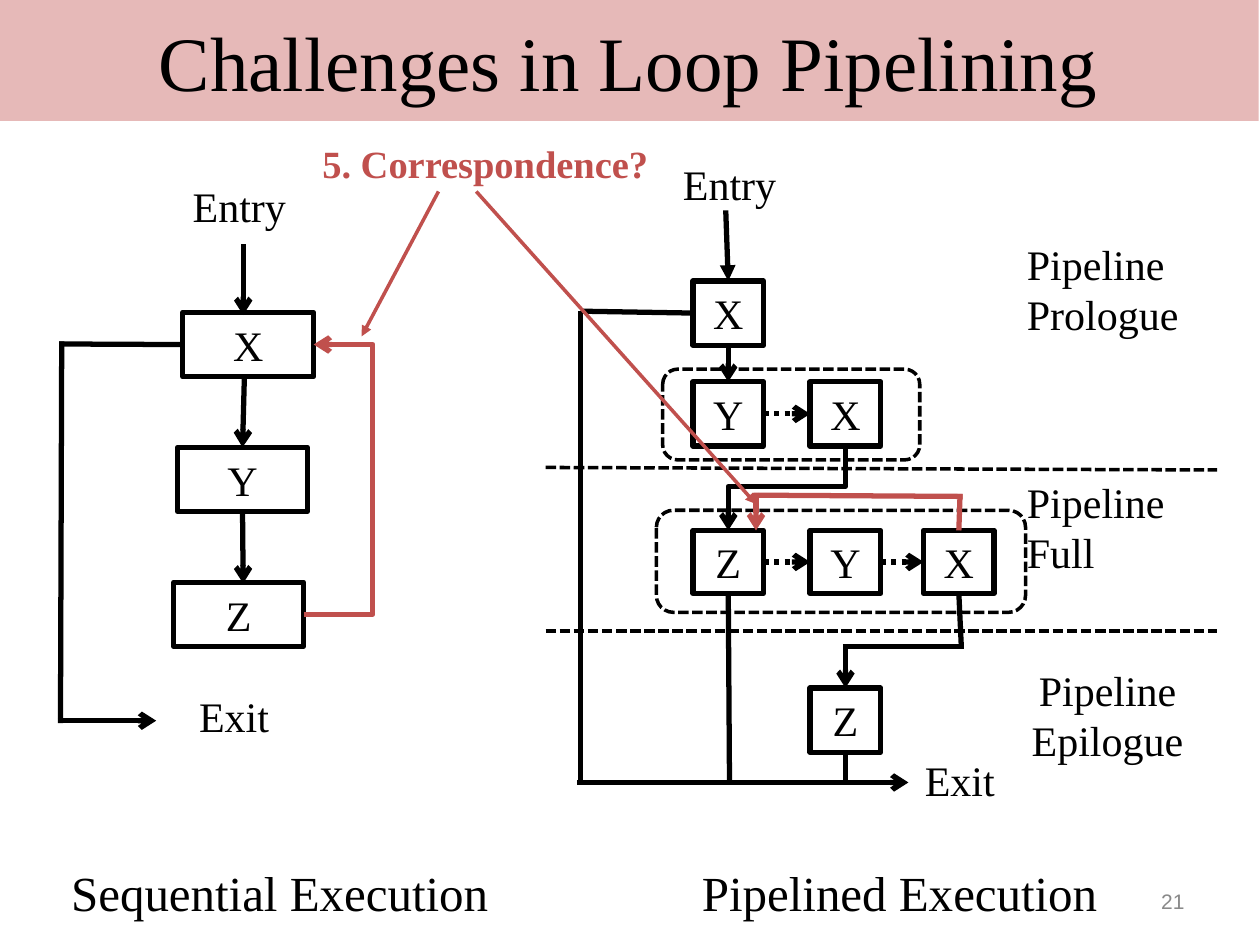
from dataclasses import dataclass
from typing import NamedTuple, Optional

from lxml.etree import SubElement
from pptx import Presentation
from pptx.dml.color import RGBColor
from pptx.enum.dml import MSO_LINE as Dash
from pptx.enum.shapes import MSO_CONNECTOR as Cxn, MSO_SHAPE as Shape
from pptx.enum.text import MSO_ANCHOR as Anchor, MSO_AUTO_SIZE as Fit, PP_ALIGN as Align
from pptx.oxml.ns import qn
from pptx.util import Inches, Pt


@dataclass(frozen=True)
class Theme:
    serif: str = "Times New Roman"
    sans: str = "Arial"
    ink: str = "000000"
    accent: str = "C0504D"
    banner: str = "E6B9B8"
    muted: str = "898989"
    title: int = 44
    caption: int = 28
    label: int = 24
    callout: int = 22
    number: int = 12
    thick: float = 3
    thin: float = 2


T = Theme()
TOP, LEFT, BOTTOM, RIGHT = range(4)


class Node(NamedTuple):
    key: str
    x: float
    y: float
    w: float = 0.56
    h: float = 0.51


class Label(NamedTuple):
    text: str
    x: float
    y: float
    w: float
    h: float = 0.45
    align: Align = Align.LEFT


class Glue(NamedTuple):
    key: str
    site: int


@dataclass(frozen=True)
class Line:
    x1: float
    y1: float
    x2: float
    y2: float
    head: Optional[str] = None
    color: str = T.ink
    width: float = T.thick
    dash: Optional[Dash] = None
    begin: Optional[Glue] = None
    end: Optional[Glue] = None


def write(s, text: str, size: int, color: str = T.ink, font: str = T.serif,
          align: Align = Align.CENTER, anchor: Anchor = Anchor.MIDDLE,
          bold: bool = False, pad: tuple = (0.05, 0.02)) -> None:
    tf = s.text_frame
    tf.text = text
    tf.word_wrap = True
    tf.vertical_anchor = anchor
    tf.margin_left = tf.margin_right = Inches(pad[0])
    tf.margin_top = tf.margin_bottom = Inches(pad[1])
    p = tf.paragraphs[0]
    p.alignment = align
    f = p.runs[0].font
    f.name, f.size, f.bold = font, Pt(size), bold
    f.color.rgb = RGBColor.from_string(color)


def add_text(shapes, lb: Label, size: int = T.label, grow: bool = True, **style) -> None:
    s = shapes.add_textbox(*map(Inches, lb[1:5]))
    write(s, lb.text, size, align=lb.align, **style)
    if grow:
        s.text_frame.auto_size = Fit.SHAPE_TO_FIT_TEXT


def stroke(s, color: str, width: float, dash: Optional[Dash] = None) -> None:
    s.line.color.rgb = RGBColor.from_string(color)
    s.line.width = Pt(width)
    if dash is not None:
        s.line.dash_style = dash


def add_outline(shapes, kind: Shape, x: float, y: float, w: float, h: float,
                width: float = T.thick, dash: Optional[Dash] = None):
    s = shapes.add_shape(kind, *map(Inches, (x, y, w, h)))
    s.shadow.inherit = False
    s.fill.background()
    stroke(s, T.ink, width, dash)
    return s


def add_nodes(shapes, nodes: list[Node]) -> dict:
    boxes = {}
    for n in nodes:
        boxes[n.key] = add_outline(shapes, Shape.RECTANGLE, *n[1:])
        write(boxes[n.key], n.key[0], T.label)
    return boxes


def add_line(shapes, ln: Line, boxes: dict, kind: Cxn = Cxn.STRAIGHT):
    c = shapes.add_connector(kind, *map(Inches, (ln.x1, ln.y1, ln.x2, ln.y2)))
    if ln.begin:
        c.begin_connect(boxes[ln.begin.key], ln.begin.site)
    if ln.end:
        c.end_connect(boxes[ln.end.key], ln.end.site)
    stroke(c, ln.color, ln.width, ln.dash)
    if ln.head:
        SubElement(c.line._ln, qn("a:tailEnd"), type=ln.head)
    SubElement(c._element.spPr, qn("a:effectLst"))
    return c


def set_bend(c, share: float) -> None:
    guides = c._element.spPr.find(qn("a:prstGeom")).get_or_add_avLst()
    SubElement(guides, qn("a:gd"), name="adj1", fmla=f"val {round(share * 100000)}")


def add_side_elbow(shapes, ln: Line, boxes: dict, bend_x: float) -> None:
    c = add_line(shapes, ln, boxes, Cxn.ELBOW)
    set_bend(c, (bend_x - ln.x1) / (ln.x2 - ln.x1))


def add_down_elbow(shapes, ln: Line, boxes: dict, bend_y: float) -> None:
    c = add_line(shapes, ln, boxes, Cxn.ELBOW)
    across, down = ln.x1 - ln.x2, ln.y2 - ln.y1
    xfrm = c._element.spPr.find(qn("a:xfrm"))
    for flip in ("flipH", "flipV"):
        xfrm.attrib.pop(flip, None)
    xfrm.set("rot", str(90 * 60000))
    c.left = Inches((ln.x1 + ln.x2 - down) / 2)
    c.top = Inches((ln.y1 + ln.y2 - across) / 2)
    c.width, c.height = Inches(down), Inches(across)
    set_bend(c, (bend_y - ln.y1) / down)


def draw_sequential(shapes) -> None:
    boxes = add_nodes(shapes, [Node("X", 1.45, 2.48, 1.04), Node("Y", 1.41, 3.55, 1.03),
                               Node("Z", 1.38, 4.62, 1.03)])
    for lb in (Label("Entry", 1.48, 1.41, 0.96), Label("Exit", 1.53, 5.46, 1.62)):
        add_text(shapes, lb, anchor=Anchor.TOP)
    for ln in (
        Line(1.93, 1.94, 1.93, 2.5, "arrow"),
        Line(1.94, 2.98, 1.94, 3.54, "arrow", end=Glue("Y", TOP)),
        Line(1.93, 4.08, 1.93, 4.63, "arrow", begin=Glue("Y", BOTTOM)),
        Line(0.47, 2.73, 1.45, 2.73, end=Glue("X", LEFT)),
        Line(0.49, 2.71, 0.48, 5.74),
        Line(0.46, 5.72, 1.24, 5.72, "arrow"),
    ):
        add_line(shapes, ln, boxes)
    back = Line(2.41, 4.88, 2.49, 2.73, "arrow", T.accent,
                begin=Glue("Z", RIGHT), end=Glue("X", RIGHT))
    add_side_elbow(shapes, back, boxes, 2.96)


def draw_pipelined(shapes) -> None:
    c1, c2, c3 = 5.5, 6.43, 7.33
    boxes = add_nodes(shapes, [
        Node("X1", c1, 2.23), Node("Y2", c1, 3.03), Node("X2", c2, 3.03),
        Node("Z3", c1, 4.21, h=0.5), Node("Y3", c2, 4.21, h=0.5),
        Node("X3", c3, 4.21, h=0.5), Node("Z4", c2, 5.46)])
    for lb in (
        Label("Entry", 5.37, 1.24, 1.25), Label("Exit", 7.29, 5.97, 0.88),
        Label("Pipeline Prologue", 8.1, 1.87, 1.55, 0.85),
        Label("Pipeline Full", 8.1, 3.76, 1.32, 0.85),
        Label("Pipeline Epilogue", 8.1, 5.25, 1.38, 0.85, Align.CENTER),
    ):
        add_text(shapes, lb, anchor=Anchor.TOP)
    for stage in ((5.26, 2.93, 2.04, 0.72), (5.21, 4.05, 2.93, 0.81)):
        add_outline(shapes, Shape.ROUNDED_RECTANGLE, *stage, T.thin, Dash.SQUARE_DOT)
    for y1, y2 in ((3.71, 3.73), (5.01, 5.01)):
        add_line(shapes, Line(4.33, y1, 9.66, y2, width=T.thin, dash=Dash.SQUARE_DOT), boxes)
    for a, b, x1, x2, y in (("Y2", "X2", 6.06, c2, 3.27), ("Z3", "Y3", 6.06, c2, 4.45),
                            ("Y3", "X3", 6.99, c3, 4.45)):
        add_line(shapes, Line(x1, y, x2, y, "arrow", dash=Dash.ROUND_DOT,
                              begin=Glue(a, RIGHT), end=Glue(b, LEFT)), boxes)
    for ln in (
        Line(5.76, 1.67, 5.78, 2.23, "triangle", end=Glue("X1", TOP)),
        Line(5.78, 2.74, 5.78, 3.03, "arrow", begin=Glue("X1", BOTTOM), end=Glue("Y2", TOP)),
        Line(6, 3.91, 6, 4.21, "arrow", T.accent),
        Line(5.98, 3.93, 7.64, 3.94, color=T.accent),
        Line(7.62, 3.92, 7.62, 4.21, color=T.accent, end=Glue("X3", TOP)),
        Line(4.61, 2.47, 5.5, 2.48, end=Glue("X1", LEFT)),
        Line(4.61, 2.47, 4.61, 6.2),
        Line(4.58, 6.21, 6.97, 6.21),
        Line(5.78, 4.71, 5.79, 6.22, begin=Glue("Z3", BOTTOM)),
        Line(6.71, 5.97, 6.71, 6.21, begin=Glue("Z4", BOTTOM)),
        Line(6.94, 6.21, 7.21, 6.21, "arrow"),
        Line(6.71, 5.13, 6.71, 5.46, "arrow", end=Glue("Z4", TOP)),
        Line(6.69, 5.13, 7.65, 5.13),
        Line(7.63, 4.71, 7.63, 5.14, begin=Glue("X3", BOTTOM)),
    ):
        add_line(shapes, ln, boxes)
    turn = Line(6.71, 3.54, 5.78, 4.21, "arrow", begin=Glue("X2", BOTTOM), end=Glue("Z3", TOP))
    add_down_elbow(shapes, turn, boxes, 3.86)


def main() -> None:
    prs = Presentation()
    prs.slide_width, prs.slide_height = Inches(10), Inches(7.5)
    shapes = prs.slides.add_slide(prs.slide_layouts[5]).shapes
    title = shapes.title
    title.left, title.top, title.width, title.height = map(Inches, (-0.01, 0, 10, 0.96))
    title.fill.solid()
    title.fill.fore_color.rgb = RGBColor.from_string(T.banner)
    write(title, "Challenges in Loop Pipelining", T.title, pad=(0.1, 0.05))
    draw_pipelined(shapes)
    draw_sequential(shapes.add_group_shape().shapes)
    for lb in (Label("Sequential Execution", 0.07, 6.79, 4.3, 0.57, Align.CENTER),
               Label("Pipelined Execution", 5.17, 6.79, 3.94, 0.57, Align.CENTER)):
        add_text(shapes, lb, T.caption, grow=False, anchor=Anchor.BOTTOM, pad=(0.1, 0.05))
    add_text(shapes, Label("5. Correspondence?", 2.46, 1.06, 2.9, 0.47), T.callout,
             color=T.accent, bold=True, anchor=Anchor.TOP, pad=(0.1, 0.05))
    for ends in ((3.48, 1.52, 2.87, 2.67), (3.78, 1.52, 6, 4)):
        add_line(shapes, Line(*ends, "triangle", T.accent, T.thin), {})
    add_text(shapes, Label("21", 7.17, 6.95, 2.33, 0.4, Align.RIGHT), T.number, grow=False,
             color=T.muted, font=T.sans, pad=(0.1, 0.05))
    prs.save("out.pptx")


if __name__ == "__main__":
    main()
